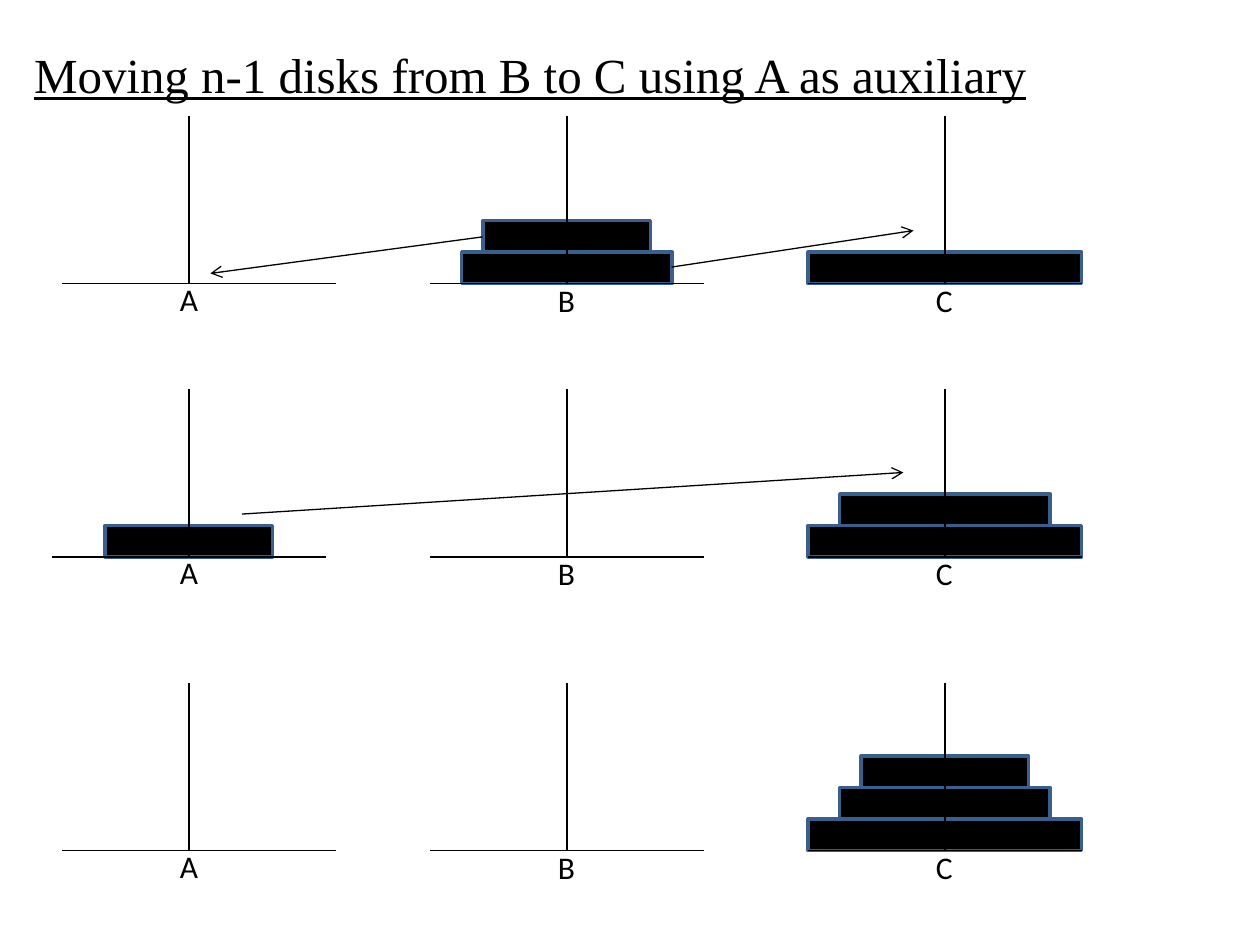
from pptx import Presentation
from pptx.dml.color import RGBColor
from pptx.enum.shapes import MSO_CONNECTOR, MSO_SHAPE
from pptx.enum.text import MSO_ANCHOR, MSO_AUTO_SIZE, PP_ALIGN
from pptx.oxml.ns import qn
from pptx.util import Inches, Pt
from lxml import etree

STRAIGHT, RECT = MSO_CONNECTOR.STRAIGHT, MSO_SHAPE.RECTANGLE
TOP, LEFT = MSO_ANCHOR.TOP, PP_ALIGN.LEFT
NO_FIT, GROW = MSO_AUTO_SIZE.NONE, MSO_AUTO_SIZE.SHAPE_TO_FIT_TEXT
color = RGBColor.from_string
BLACK, EDGE = "000000", "3A5F8C"

prs = Presentation()
prs.slide_width, prs.slide_height = Inches(10), Inches(7.5)
s = prs.slides.add_slide(prs.slide_layouts[5])


def add_line(x1, y1, x2, y2, arrow=False):
    c = s.shapes.add_connector(STRAIGHT, Inches(x1), Inches(y1), Inches(x2), Inches(y2))
    c.line.color.rgb = color(BLACK)
    c.line.width = Pt(0.75)
    etree.SubElement(c._element.spPr, qn("a:effectLst"))
    if arrow:
        etree.SubElement(c.line._get_or_add_ln(), qn("a:tailEnd"), type="arrow")


def add_text(tf, text, font, size, underline=None):
    tf.word_wrap = True
    tf.vertical_anchor = TOP
    p = tf.paragraphs[0]
    p.alignment = LEFT
    r = p.add_run()
    r.text = text
    r.font.name, r.font.size, r.font.underline = font, Pt(size), underline
    r.font.color.rgb = color(BLACK)


# Title
title = s.shapes.title
title.left, title.top = Inches(0.17), Inches(0.3)
title.width, title.height = Inches(9.25), Inches(0.6)
title.text_frame.auto_size = NO_FIT
add_text(title.text_frame, "Moving n-1 disks from B to C using A as auxiliary",
         "Times New Roman", 28, True)

# Three states of the towers: base height, and disks on each peg from bottom to top
PEGS = {"A": 1.5, "B": 4.5, "C": 7.5}
SMALL, MEDIUM, LARGE = 1.33, 1.67, 2.17
DISK_H, PEG_H, BASE_W = 0.25, 1.33, 2.17
STATES = [
    (2.25, {"B": [MEDIUM, SMALL], "C": [LARGE]}),
    (4.42, {"A": [SMALL], "C": [LARGE, MEDIUM]}),
    (6.75, {"C": [LARGE, MEDIUM, SMALL]}),
]
# Bases of peg A sit slightly off centre
BASE_SHIFT = {("A", 2.25): 0.08, ("A", 6.75): 0.08}

for base, towers in STATES:
    for name, x in PEGS.items():
        for level, width in enumerate(towers.get(name, []), start=1):
            disk = s.shapes.add_shape(RECT, Inches(x - width / 2), Inches(base - level * DISK_H),
                                      Inches(width), Inches(DISK_H))
            disk.shadow.inherit = False
            disk.fill.solid()
            disk.fill.fore_color.rgb = color(BLACK)
            disk.line.color.rgb = color(EDGE)
            disk.line.width = Pt(2)
        add_line(x, base, x, base - PEG_H)
        left = x - BASE_W / 2 + BASE_SHIFT.get((name, base), 0)
        add_line(left, base, left + BASE_W, base)
        label_top = base - (0.08 if name == "A" else 0.07)
        label = s.shapes.add_textbox(Inches(x - 0.17), Inches(label_top), Inches(0.42), Inches(0.4))
        label.text_frame.auto_size = GROW
        add_text(label.text_frame, name, "Calibri", 18)

# Moves
for x1, y1, x2, y2 in [(3.83, 1.88, 1.67, 2.17), (5.33, 2.12, 7.25, 1.83), (1.92, 4.08, 7.17, 3.75)]:
    add_line(x1, y1, x2, y2, arrow=True)

prs.save("out.pptx")
